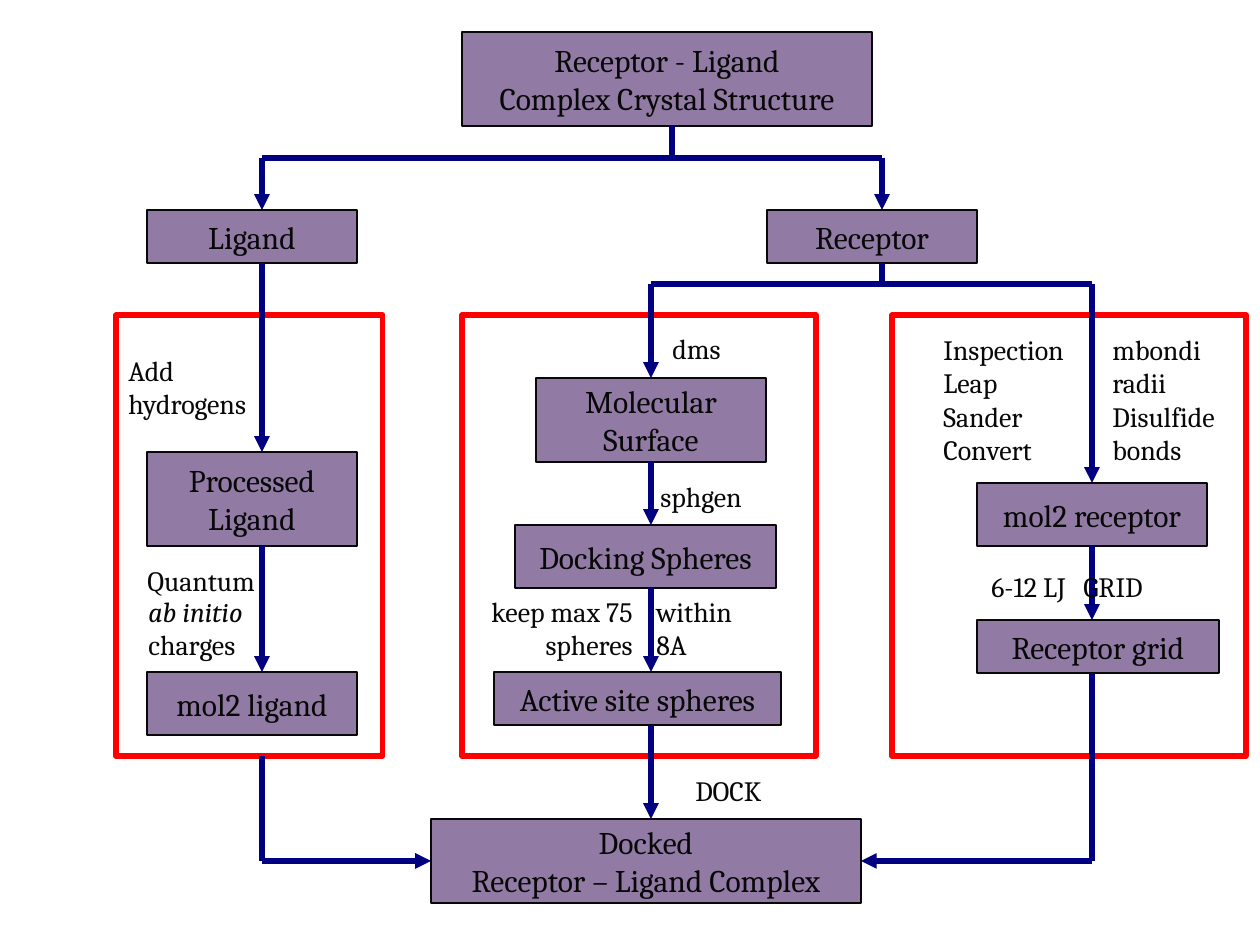
from lxml import etree
from pptx import Presentation
from pptx.dml.color import RGBColor
from pptx.enum.shapes import MSO_CONNECTOR, MSO_SHAPE
from pptx.enum.text import MSO_ANCHOR, PP_ALIGN
from pptx.oxml.ns import qn
from pptx.util import Pt

RECT = MSO_SHAPE.RECTANGLE
STRAIGHT = MSO_CONNECTOR.STRAIGHT
MIDDLE = MSO_ANCHOR.MIDDLE
LEFT, CENTER, RIGHT = PP_ALIGN.LEFT, PP_ALIGN.CENTER, PP_ALIGN.RIGHT

INK = RGBColor(0x08, 0x08, 0x08)
PURPLE = RGBColor(0x91, 0x7A, 0xA4)
RED = RGBColor(0xFF, 0x00, 0x00)
NAVY = RGBColor(0x00, 0x00, 0x80)

TOP, BOX_LEFT, BOTTOM, BOX_RIGHT = range(4)


def px(n):
    return round(n * 914400 / 126)


def write(tf, text, size=16, align=LEFT, italic_line=None):
    for i, line in enumerate(text.split("\n")):
        p = tf.paragraphs[0] if i == 0 else tf.add_paragraph()
        p.text = line
        p.alignment = align
        for r in p.runs:
            r.font.name = "Cambria"
            r.font.size = Pt(size)
            r.font.color.rgb = INK
            r.font.italic = i == italic_line


class Flowchart:
    def __init__(self, slide):
        self.shapes = slide.shapes

    def rect(self, x, y, w, h, line, width):
        sp = self.shapes.add_shape(RECT, px(x), px(y), px(w), px(h))
        sp.shadow.inherit = False
        sp.line.color.rgb = line
        sp.line.width = Pt(width)
        return sp

    def box(self, text, x, y, w, h):
        sp = self.rect(x, y, w, h, INK, 0.75)
        sp.fill.solid()
        sp.fill.fore_color.rgb = PURPLE
        sp.text_frame.word_wrap = False
        sp.text_frame.vertical_anchor = MIDDLE
        write(sp.text_frame, text, size=18, align=CENTER)
        return sp

    def frame(self, x, w):
        self.rect(x, 315, w, 441, RED, 3).fill.background()

    def label(self, text, x, y, w, h, **fmt):
        sp = self.shapes.add_textbox(px(x), px(y), px(w), px(h))
        sp.text_frame.word_wrap = True
        write(sp.text_frame, text, **fmt)

    def line(self, x1, y1, x2, y2, arrow=False, begin=None, end=None):
        cx = self.shapes.add_connector(STRAIGHT, px(x1), px(y1), px(x2), px(y2))
        cx.line.color.rgb = NAVY
        cx.line.width = Pt(3)
        if begin:
            cx.begin_connect(*begin)
        if end:
            cx.end_connect(*end)
        if arrow:
            ln = cx._element.spPr.find(qn("a:ln"))
            etree.SubElement(ln, qn("a:tailEnd"), type="triangle")
        etree.SubElement(cx._element.spPr, qn("a:effectLst"))

    def arrow(self, *points, **joins):
        self.line(*points, arrow=True, **joins)


def main():
    prs = Presentation()
    prs.slide_width, prs.slide_height = px(1260), px(945)
    chart = Flowchart(prs.slides.add_slide(prs.slide_layouts[6]))

    chart.box("Receptor - Ligand\vComplex Crystal Structure", 462, 32, 410, 94)
    chart.box("Ligand", 147, 210, 210, 53)
    chart.box("Receptor", 767, 210, 210, 53)
    chart.box("Processed\nLigand", 147, 452, 210, 94)
    chart.box("mol2 ligand", 147, 672, 210, 63)
    surface = chart.box("Molecular\nSurface", 536, 378, 230, 84)
    chart.box("Docking Spheres", 515, 525, 261, 63)
    chart.box("Active site spheres", 494, 672, 287, 53)
    mol2_receptor = chart.box("mol2 receptor", 977, 483, 230, 63)
    chart.box("Receptor grid", 977, 620, 242, 53)
    docked = chart.box("Docked\nReceptor – Ligand Complex", 431, 819, 430, 84)

    for x, w in ((116, 267), (462, 354), (892, 354)):
        chart.frame(x, w)

    ligand_x, spheres_x, grid_x, receptor_x = 262, 651, 1092, 882
    split_y, branch_y, dock_y = 158, 284, 861

    chart.line(672, 126, 672, split_y)
    chart.line(ligand_x, split_y, receptor_x, split_y)
    for x in (ligand_x, receptor_x):
        chart.arrow(x, split_y, x, 210)

    chart.line(receptor_x, 263, receptor_x, branch_y)
    chart.line(grid_x, branch_y, spheres_x, branch_y)
    chart.arrow(spheres_x, branch_y, spheres_x, 378, end=(surface, TOP))
    chart.arrow(grid_x, branch_y, grid_x, 483, end=(mol2_receptor, TOP))

    chart.arrow(spheres_x, 462, spheres_x, 525, begin=(surface, BOTTOM))
    chart.arrow(grid_x, 546, grid_x, 620, begin=(mol2_receptor, BOTTOM))
    for x, y1, y2 in ((ligand_x, 263, 452), (ligand_x, 546, 672),
                      (spheres_x, 588, 672), (spheres_x, 725, 819)):
        chart.arrow(x, y1, x, y2)

    chart.line(ligand_x, 756, ligand_x, dock_y)
    chart.arrow(ligand_x, dock_y, 431, dock_y, end=(docked, BOX_LEFT))
    chart.line(grid_x, 673, grid_x, dock_y)
    chart.arrow(grid_x, dock_y, 861, dock_y, end=(docked, BOX_RIGHT))

    chart.label("Add hydrogens", 116, 347, 158, 113)
    chart.label("Quantum", 135, 557, 140, 47)
    chart.label("ab initio\ncharges", 136, 588, 136, 81, italic_line=0)
    chart.label("dms", 660, 325, 81, 47)
    chart.label("sphgen", 648, 473, 121, 47)
    chart.label("keep max 75\nspheres", 465, 588, 180, 81, align=RIGHT)
    chart.label("within\n8A", 644, 588, 110, 81)
    chart.label("DOCK", 683, 767, 102, 47)
    chart.label("Inspection\nLeap\nSander\nConvert", 931, 326, 165, 147)
    chart.label("mbondi\nradii\nDisulfide\nbonds", 1100, 326, 144, 147)
    chart.label("6-12 LJ", 979, 563, 104, 47)
    chart.label("GRID", 1071, 563, 104, 47)

    prs.save("out.pptx")


if __name__ == "__main__":
    main()
